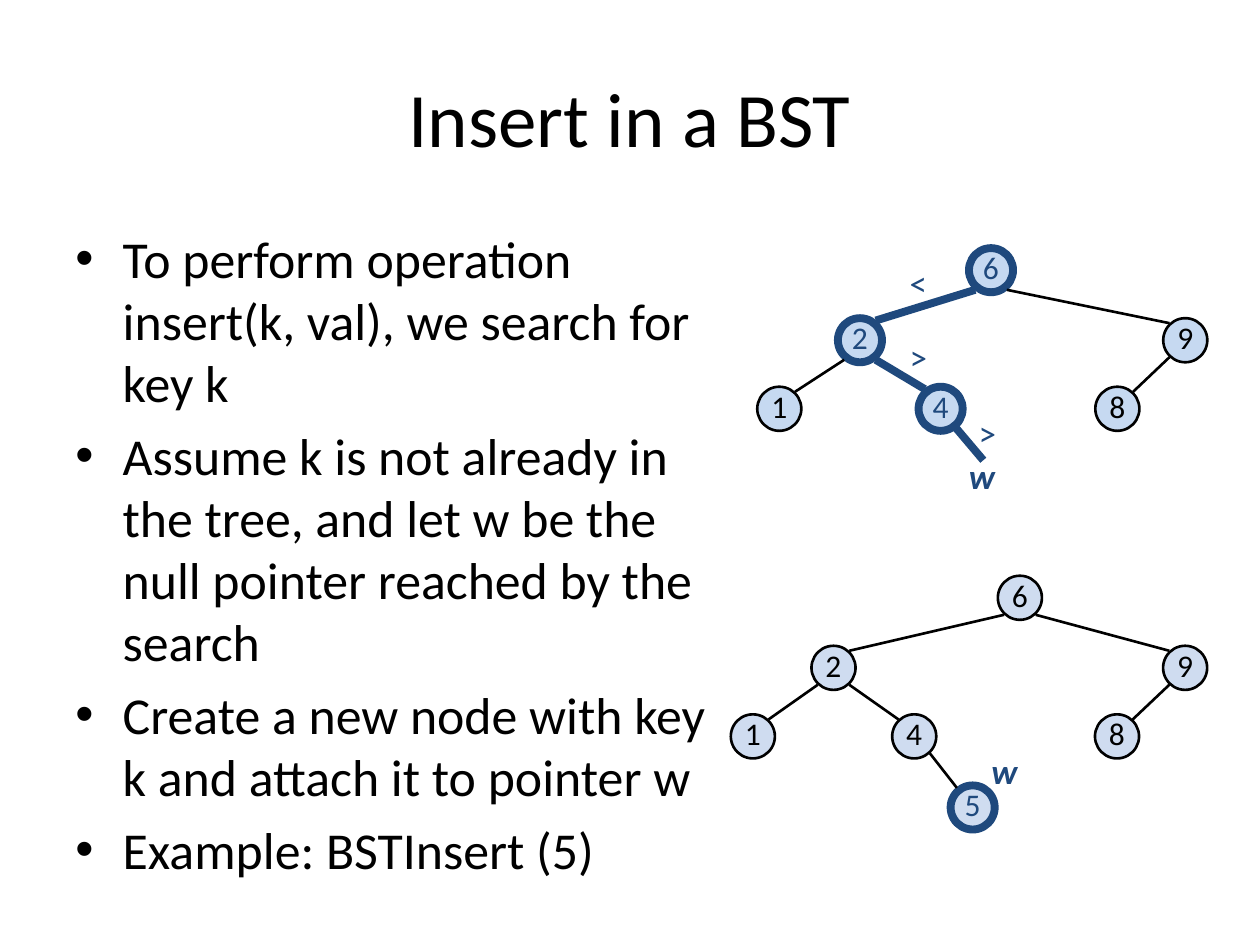
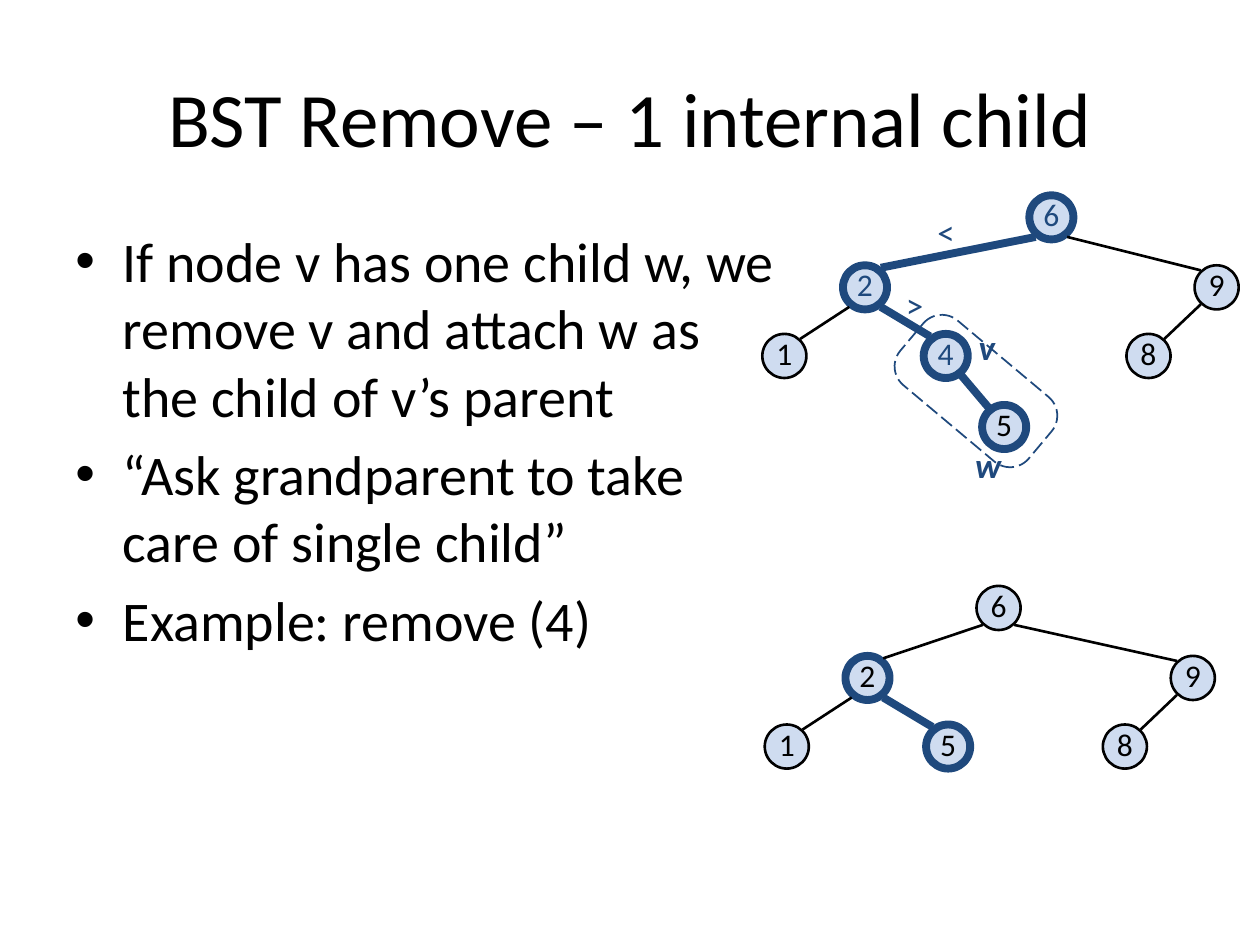
from dataclasses import dataclass

from lxml import etree
from pptx import Presentation
from pptx.dml.color import RGBColor
from pptx.enum.dml import MSO_LINE
from pptx.enum.shapes import MSO_CONNECTOR, MSO_SHAPE
from pptx.enum.text import MSO_ANCHOR, PP_ALIGN
from pptx.oxml.ns import qn
from pptx.util import Pt

OVAL = MSO_SHAPE.OVAL
ROUNDED = MSO_SHAPE.ROUNDED_RECTANGLE
STRAIGHT = MSO_CONNECTOR.STRAIGHT
LONG_DASH = MSO_LINE.LONG_DASH
MIDDLE, TOP = MSO_ANCHOR.MIDDLE, MSO_ANCHOR.TOP
CENTER, LEFT = PP_ALIGN.CENTER, PP_ALIGN.LEFT


@dataclass(frozen=True)
class Theme:
    font: str = "Calibri"
    ink: RGBColor = RGBColor(0x00, 0x00, 0x00)
    accent: RGBColor = RGBColor(0x1F, 0x49, 0x7D)
    sky: RGBColor = RGBColor(0xC6, 0xD9, 0xF1)
    pale: RGBColor = RGBColor(0xCF, 0xDC, 0xF0)
    title_size: float = 44
    label_size: float = 20
    key_size: float = 18
    thin: float = 1.5
    thick: float = 4.5
    outline: float = 1


THEME = Theme()
TITLE_BOX = (36, 21.6, 648, 90)
BULLET_INDENT = 27
NODE = 25.2  # node diameter
LEVELS = (0, 40, 79.2, 119.8)  # tops of the tree levels

# Places in a tree: name -> (parent, level, left); the two layouts differ on the right
LEFT_SIDE = {
    "left": ("root", 1, 46.1),
    "left-left": ("left", 2, 0),
    "left-right": ("left", 2, 92.2),
    "leaf": ("left-right", 3, 125.6),
}
NARROW = {"root": (None, 0, 121), "right": ("root", 1, 232),
          "right-left": ("right", 2, 193.2), **LEFT_SIDE}
WIDE = {"root": (None, 0, 152.6), "right": ("root", 1, 247),
        "right-left": ("right", 2, 208.1), **LEFT_SIDE}
BASE_KEYS = {"root": "6", "left": "2", "right": "9", "left-left": "1",
             "left-right": "4", "right-left": "8"}
SEARCH_PATH = {"root", "left", "left-right"}


def apply_format(target, values):
    for name, value in values.items():
        setattr(target, name, value)


def write(paragraph, text, size, color=THEME.ink, alignment=LEFT, **font_values):
    paragraph.alignment = alignment
    run = paragraph.add_run()
    run.text = text
    apply_format(run.font, {"name": THEME.font, "size": Pt(size), **font_values})
    run.font.color.rgb = color


def add_text_box(slide, box, wrap=True, anchor=TOP):
    frame = slide.shapes.add_textbox(*map(Pt, box)).text_frame
    apply_format(frame, {"word_wrap": wrap, "vertical_anchor": anchor})
    return frame


def set_line(shape, color, width):
    shape.line.color.rgb = color
    shape.line.width = Pt(width)


def add_title(slide, text):
    frame = add_text_box(slide, TITLE_BOX, anchor=MIDDLE)
    write(frame.paragraphs[0], text, THEME.title_size, alignment=CENTER)


def add_bullets(slide, box, items, size):
    frame = add_text_box(slide, box)
    for index, item in enumerate(items):
        paragraph = frame.add_paragraph() if index else frame.paragraphs[0]
        write(paragraph, item, size)
        paragraph.space_before = Pt(size * 0.2)
        properties = paragraph._p.get_or_add_pPr()
        properties.set("marL", str(Pt(BULLET_INDENT)))
        properties.set("indent", str(-Pt(BULLET_INDENT)))
        etree.SubElement(properties, qn("a:buFont")).set("typeface", "Arial")
        etree.SubElement(properties, qn("a:buChar")).set("char", "•")


def add_node(slide, left, top, key, fill, ringed, text_color):
    node = slide.shapes.add_shape(OVAL, Pt(left), Pt(top), Pt(NODE), Pt(NODE))
    node.shadow.inherit = False
    node.fill.solid()
    node.fill.fore_color.rgb = fill
    if ringed:
        set_line(node, THEME.accent, THEME.thick)
    else:
        set_line(node, THEME.ink, THEME.thin)
    apply_format(node.text_frame, {
        "margin_left": 0, "margin_right": 0, "margin_top": 0,
        "margin_bottom": Pt(3.6), "word_wrap": False, "vertical_anchor": MIDDLE,
    })
    write(node.text_frame.paragraphs[0], key, THEME.key_size, text_color, CENTER)


def add_edge(slide, start, end, bold):
    edge = slide.shapes.add_connector(STRAIGHT, *map(Pt, (*start, *end)))
    set_line(edge, THEME.accent if bold else THEME.ink,
             THEME.thick if bold else THEME.thin)
    etree.SubElement(edge._element.spPr, qn("a:effectLst"))


def add_tree(slide, origin, layout, keys, ringed=(), blue=(), fill=THEME.pale, labels=()):
    """Draw a tree; a place whose key is empty gets an edge but no node."""
    left, top = origin
    corners = {place: (left + layout[place][2], top + LEVELS[layout[place][1]])
               for place in keys}

    def edge_point(place, side, direction):
        x, y = corners[place]
        reach = 11.2 if place in ringed else 9.7
        return x + NODE / 2 + side * 9, y + NODE / 2 + direction * reach

    # Nodes
    for place, key in keys.items():
        if key:
            color = THEME.accent if place in blue else THEME.ink
            add_node(slide, *corners[place], key, fill, place in ringed, color)

    # Edges, thick where both ends lie on the marked path
    for place in keys:
        parent = layout[place][0]
        if parent:
            side = 1 if corners[place][0] > corners[parent][0] else -1
            add_edge(slide, edge_point(parent, side, 1), edge_point(place, -side, -1),
                     place in ringed and parent in ringed)

    # Comparison signs and pointer names
    for text, x, y, width in labels:
        frame = add_text_box(slide, (left + x, top + y, width, 31.5), wrap=False)
        is_name = text.isalpha()
        write(frame.paragraphs[0], text, THEME.label_size, THEME.accent,
              bold=is_name, italic=is_name)


def add_pair_outline(slide, box):
    outline = slide.shapes.add_shape(ROUNDED, *map(Pt, box))
    outline.shadow.inherit = False
    outline.adjustments[0] = 0.29
    outline.rotation = 40
    outline.fill.background()
    set_line(outline, THEME.accent, THEME.outline)
    outline.line.dash_style = LONG_DASH


def build_insert_slide(slide):
    add_title(slide, "Insert in a BST")
    add_bullets(slide, (36, 126, 378, 356.4), (
        "To perform operation insert(k, val), we search for key k",
        "Assume k is not already in the tree, and let w be the null pointer "
        "reached by the search",
        "Create a new node with key k and attach it to pointer w",
        "Example: BSTInsert (5)",
    ), 29.6)
    # Search that ends at the null pointer
    add_tree(slide, (432.7, 141.8), NARROW, {**BASE_KEYS, "leaf": ""},
             ringed=SEARCH_PATH | {"leaf"}, blue=SEARCH_PATH, fill=THEME.sky,
             labels=(("<", 80, 4.3, 28.1), (">", 80, 46.1, 28.1),
                     (">", 119.5, 90, 28.1), ("w", 113.8, 114.5, 34.6)))
    # Tree with the new node
    add_tree(slide, (417.6, 329), WIDE, {**BASE_KEYS, "leaf": "5"},
             ringed={"leaf"}, blue={"leaf"}, labels=(("w", 141.8, 95.8, 34.6),))


def build_remove_slide(slide):
    add_title(slide, "BST Remove – 1 internal child")
    add_bullets(slide, (36, 126, 414, 356.4), (
        "If node v has one child w, we remove v and attach w as the child of v’s parent",
        "“Ask grandparent to take care of single child”",
        "Example: remove (4)",
    ), 32)
    # Tree after removal
    add_tree(slide, (437, 334.8), NARROW, {**BASE_KEYS, "left-right": "5"},
             ringed={"left", "left-right"})
    # Tree before removal
    left, top = 435.6, 111.6
    add_tree(slide, (left, top), WIDE, {**BASE_KEYS, "leaf": "5"},
             ringed=SEARCH_PATH | {"leaf"}, blue=SEARCH_PATH,
             labels=(("v", 116.6, 70.6, 30.2), ("w", 114.5, 138.2, 34.6),
                     ("<", 92.9, 5, 28.1), (">", 74.9, 46.8, 28.1)))
    add_pair_outline(slide, (left + 74.2, top + 87.8, 95.8, 48.2))


def main():
    presentation = Presentation()
    apply_format(presentation, {"slide_width": Pt(720), "slide_height": Pt(540)})
    blank = presentation.slide_layouts[6]
    for build in (build_insert_slide, build_remove_slide):
        build(presentation.slides.add_slide(blank))
    presentation.save("out.pptx")


if __name__ == "__main__":
    main()
